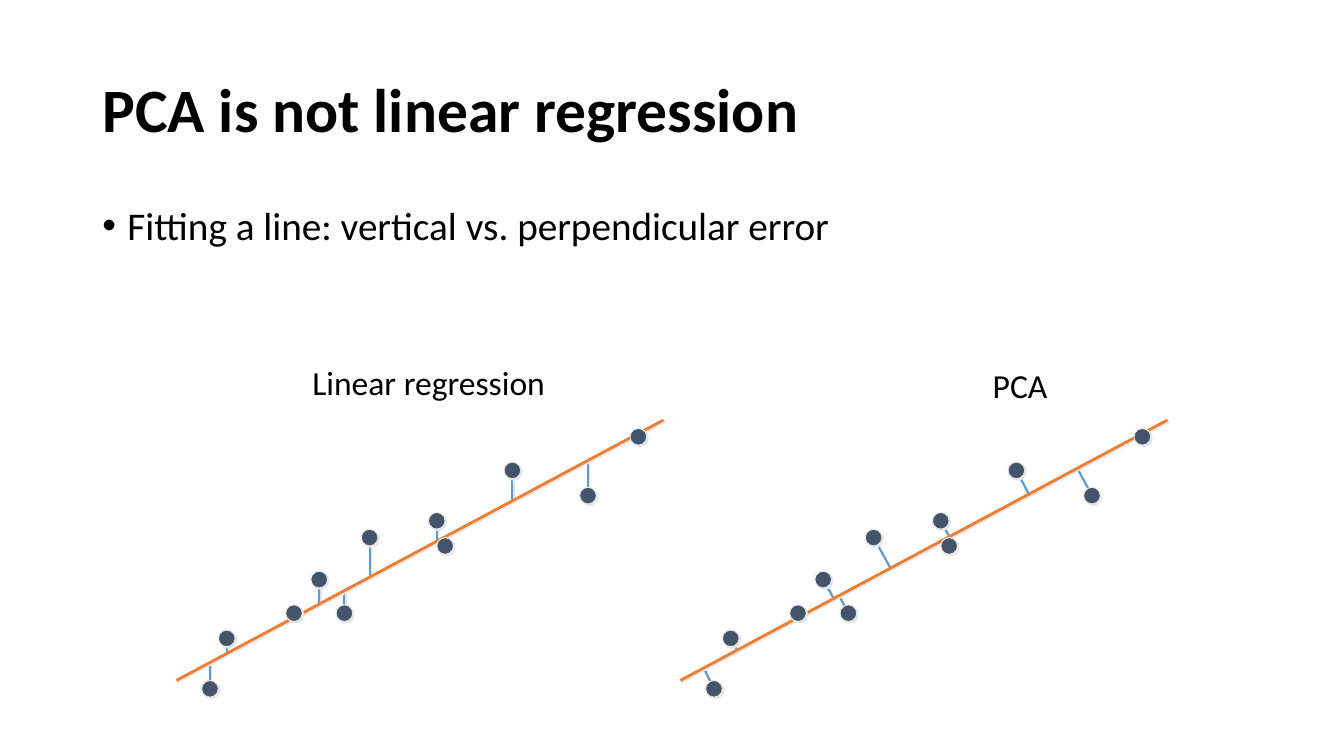
from lxml import etree
from pptx import Presentation
from pptx.dml.color import RGBColor
from pptx.enum.shapes import MSO_CONNECTOR, MSO_SHAPE
from pptx.enum.text import MSO_ANCHOR, MSO_AUTO_SIZE, PP_ALIGN
from pptx.oxml.ns import qn
from pptx.util import Emu, Pt

STRAIGHT = MSO_CONNECTOR.STRAIGHT
OVAL = MSO_SHAPE.OVAL
TOP, MIDDLE = MSO_ANCHOR.TOP, MSO_ANCHOR.MIDDLE
LEFT = PP_ALIGN.LEFT
NO_FIT = MSO_AUTO_SIZE.NONE

EMU_PER_PX = 9525
TITLE_ONLY = 5

DOT_SIZE = 16
PLOT_SHIFT = 480
FIT_START, FIT_END = (168, 648), (632, 400)
POINTS_OFF_LINE = [(200, 656), (216, 608), (304, 552), (328, 584),
                   (352, 512), (416, 496), (488, 448), (560, 472)]
POINTS_NEAR_LINE = [(280, 584), (424, 520), (608, 416)]


def px(length):
    return Emu(length * EMU_PER_PX)


def color(hex_value):
    return RGBColor.from_string(hex_value)


def write(frame, text, size, bold=False, anchor=TOP, wrap=True,
          line_spacing=1.0, space_before=0, bullet_indent=0):
    frame.word_wrap = wrap
    frame.auto_size = NO_FIT
    frame.vertical_anchor = anchor
    paragraph = frame.paragraphs[0]
    paragraph.alignment = LEFT
    paragraph.line_spacing = line_spacing
    paragraph.space_before = Pt(space_before)
    run = paragraph.add_run()
    run.text = text
    run.font.name = Slide.FONT
    run.font.size = Pt(size)
    run.font.bold = bold
    run.font.color.rgb = color(Slide.TEXT)
    if bullet_indent:
        properties = paragraph._p.get_or_add_pPr()
        properties.set("marL", str(px(bullet_indent)))
        properties.set("indent", str(-px(bullet_indent)))
        etree.SubElement(properties, qn("a:buFont"), typeface="Arial")
        etree.SubElement(properties, qn("a:buChar"), char="•")


def vertical_foot(point):
    (x0, y0), (x1, y1) = FIT_START, FIT_END
    return point[0], round(y0 + (point[0] - x0) * (y1 - y0) / (x1 - x0))


def perpendicular_foot(point):
    (x0, y0), (x1, y1) = FIT_START, FIT_END
    run, rise = x1 - x0, y1 - y0
    share = ((point[0] - x0) * run + (point[1] - y0) * rise) / (run ** 2 + rise ** 2)
    return round(x0 + share * run), round(y0 + share * rise)


class Slide:
    FONT = "Calibri"
    TEXT = "000000"
    FIT = "ED7D31"
    ERROR = "5B9BD5"
    DOT = "44546A"
    PALE = "E7E6E6"

    def __init__(self, presentation):
        self.slide = presentation.slides.add_slide(presentation.slide_layouts[TITLE_ONLY])

    def title(self, text, left, top, width, height, **style):
        title = self.slide.shapes.title
        title.left, title.top = px(left), px(top)
        title.width, title.height = px(width), px(height)
        write(title.text_frame, text, **style)

    def text(self, text, left, top, width, height, **style):
        box = self.slide.shapes.add_textbox(px(left), px(top), px(width), px(height))
        write(box.text_frame, text, **style)

    def group(self):
        return self.slide.shapes.add_group_shape().shapes

    def shadow(self, element):
        properties = element._element.spPr
        effects = properties.find(qn("a:effectLst"))
        if effects is None:
            effects = etree.SubElement(properties, qn("a:effectLst"))
        outer = etree.SubElement(effects, qn("a:outerShdw"), blurRad="0",
                                 dist=str(Pt(1.4)), dir="2700000",
                                 algn="tl", rotWithShape="0")
        etree.SubElement(outer, qn("a:srgbClr"), val=self.PALE)

    def line(self, group, start, end, shift, stroke, width):
        line = group.add_connector(STRAIGHT, px(start[0] + shift), px(start[1]),
                                   px(end[0] + shift), px(end[1]))
        line.line.color.rgb = color(stroke)
        line.line.width = Pt(width)
        self.shadow(line)

    def dot(self, group, center, shift):
        radius = DOT_SIZE // 2
        dot = group.add_shape(OVAL, px(center[0] + shift - radius), px(center[1] - radius),
                              px(DOT_SIZE), px(DOT_SIZE))
        dot.fill.solid()
        dot.fill.fore_color.rgb = color(self.DOT)
        dot.line.color.rgb = color(self.PALE)
        dot.line.width = Pt(0.75)
        dot.shadow.inherit = False
        self.shadow(dot)

    def plot(self, shift, foot):
        errors = self.group()
        for point in POINTS_OFF_LINE:
            self.line(errors, point, foot(point), shift, self.ERROR, 1.5)
        scatter = self.group()
        self.line(scatter, FIT_START, FIT_END, shift, self.FIT, 2)
        for point in POINTS_OFF_LINE + POINTS_NEAR_LINE:
            self.dot(scatter, point, shift)


def main():
    presentation = Presentation()
    presentation.slide_width, presentation.slide_height = px(1280), px(720)
    slide = Slide(presentation)
    slide.title("PCA is not linear regression", 88, 38, 1104, 139,
                size=44, bold=True, anchor=MIDDLE, line_spacing=0.9)
    slide.text("Fitting a line: vertical vs. perpendicular error", 88, 192, 1104, 457,
               size=28, line_spacing=0.9, space_before=10, bullet_indent=24)
    slide.plot(0, vertical_foot)
    slide.plot(PLOT_SHIFT, perpendicular_foot)
    slide.text("Linear regression", 288, 340, 248, 48, size=24, wrap=False)
    slide.text("PCA", 936, 343, 73, 48, size=24, wrap=False)
    presentation.save("out.pptx")


if __name__ == "__main__":
    main()
